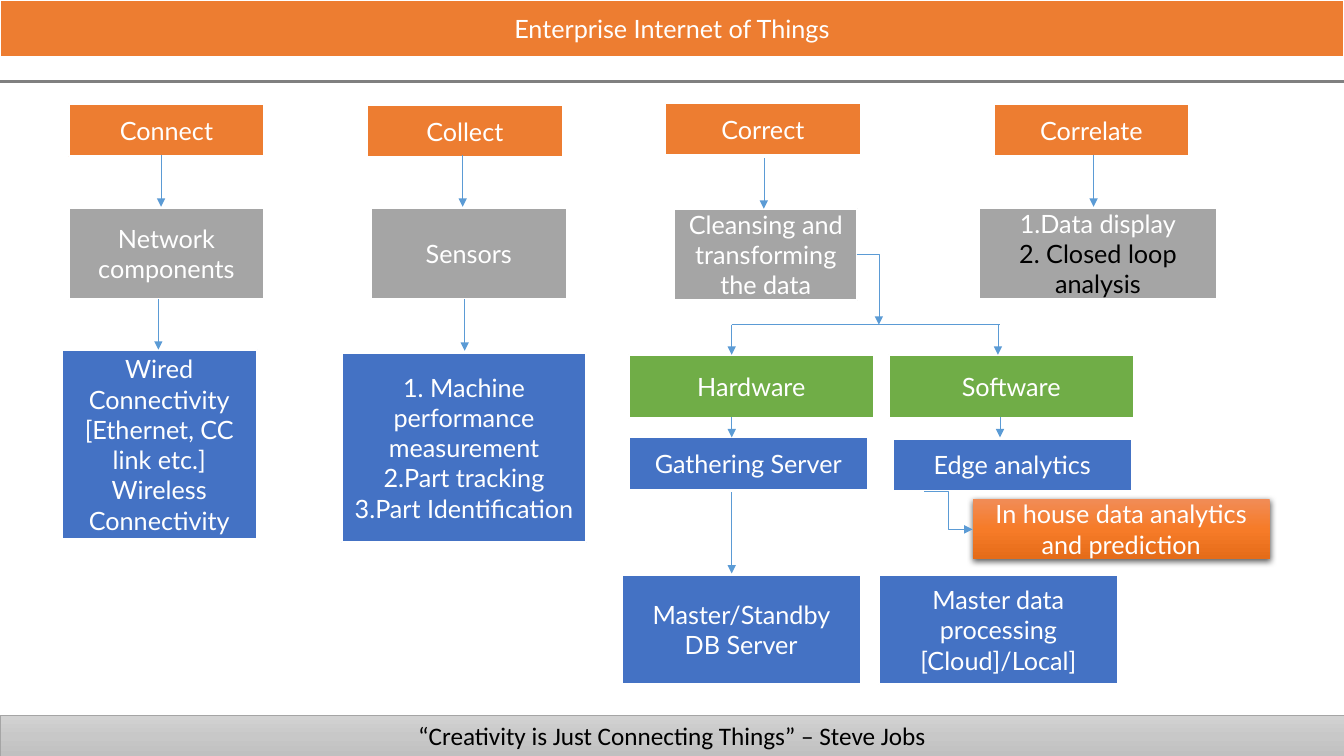
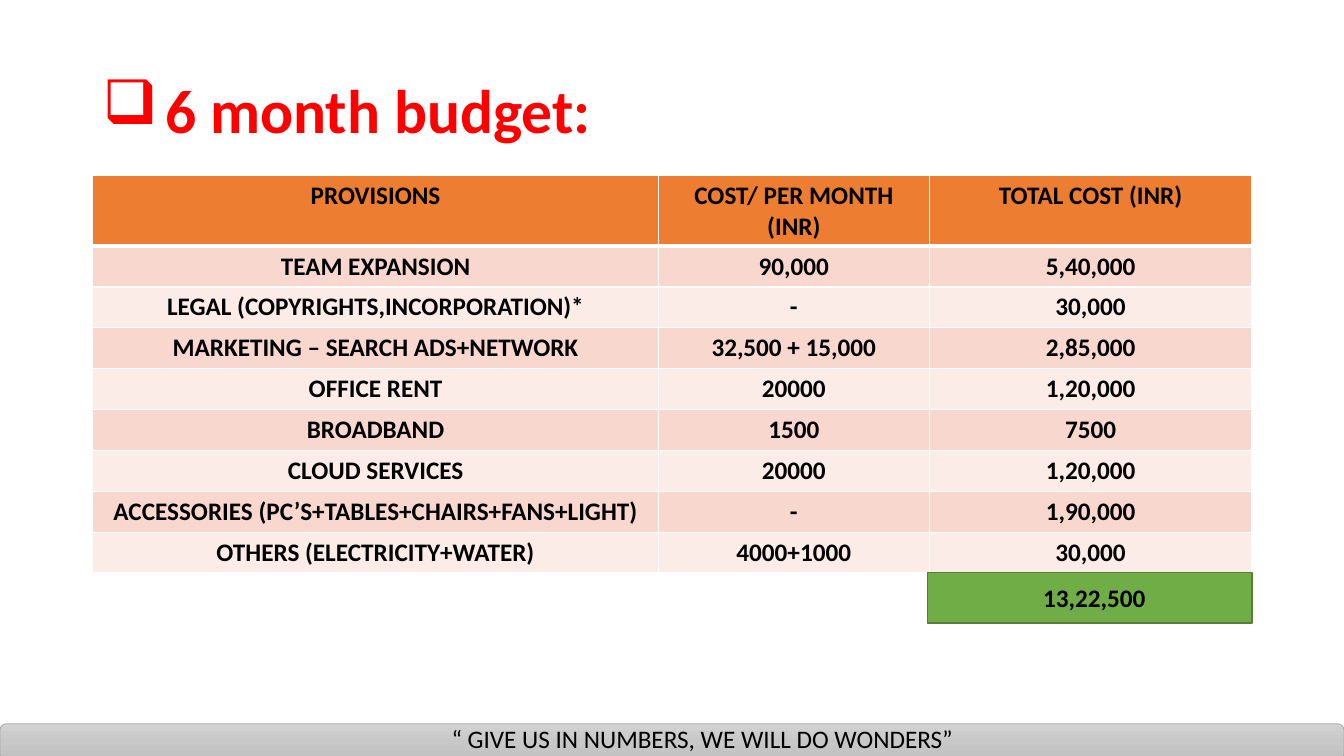
from lxml.etree import SubElement
from pptx import Presentation
from pptx.dml.color import RGBColor
from pptx.enum.shapes import MSO_CONNECTOR, MSO_SHAPE
from pptx.enum.text import MSO_ANCHOR, PP_ALIGN
from pptx.oxml.ns import qn
from pptx.util import Cm, Pt

WIDTH, HEIGHT = 33.87, 19.05
COLORS = {
    "white": "FFFFFF", "black": "000000", "red": "FF0000",
    "orange": "ED7D31", "gray": "A5A5A5", "blue": "4472C4",
    "green": "70AD47", "dark_green": "538035", "arrow": "5B9BD5",
    "rule": "808080", "band_dark": "F8D7CE", "band_light": "FCECE8",
}
GRADIENTS = {
    "silver": ("D2D2D2", "C8C8C8", "C0C0C0"),
    "flame": ("F18C57", "F67B28", "E56C19"),
}
FORMATS = {
    "label": {"name": "Lato", "size": Pt(18)},
    "body": {"name": "Calibri", "size": Pt(18)},
    "strong": {"name": "Calibri", "size": Pt(18), "bold": True},
    "title": {"name": "Calibri", "size": Pt(44), "bold": True},
}


def rgb(name):
    """Return the palette colour called name."""
    return RGBColor.from_string(COLORS[name])


def add_color(parent, value, **mods):
    """Append an RGB colour element with optional modifiers."""
    clr = SubElement(parent, qn("a:srgbClr"), val=value)
    for tag, val in mods.items():
        SubElement(clr, qn("a:" + tag), val=str(val))


class Deck:
    """The shared style and the slide being built."""

    def __init__(self):
        """Open an empty widescreen presentation."""
        self.prs = Presentation()
        self.prs.slide_width, self.prs.slide_height = Cm(WIDTH), Cm(HEIGHT)
        self.shapes = None

    def new_slide(self):
        """Start a slide on the blank layout."""
        self.shapes = self.prs.slides.add_slide(self.prs.slide_layouts[6]).shapes

    def fill_text(self, tf, lines, fmt, color, align=PP_ALIGN.CENTER):
        """Fill a text frame with one paragraph per line."""
        tf.word_wrap = True
        for i, line in enumerate(lines):
            p = tf.add_paragraph() if i else tf.paragraphs[0]
            p.alignment = align
            r = p.add_run()
            r.text = line
            for key, value in FORMATS[fmt].items():
                setattr(r.font, key, value)
            r.font.color.rgb = rgb(color)

    def box(self, at, fill, *lines, line="white", weight=1.5, fmt="label",
            color="white", kind=MSO_SHAPE.RECTANGLE):
        """Add a filled shape with centred text."""
        sp = self.shapes.add_shape(kind, *map(Cm, at))
        sp.shadow.inherit = False
        if fill in GRADIENTS:
            self.shade(sp, GRADIENTS[fill])
        else:
            sp.fill.solid()
            sp.fill.fore_color.rgb = rgb(fill)
        if line:
            sp.line.color.rgb = rgb(line)
            sp.line.width = Pt(weight)
        else:
            sp.line.fill.background()
        sp.text_frame.vertical_anchor = MSO_ANCHOR.MIDDLE
        self.fill_text(sp.text_frame, lines, fmt, color)
        return sp

    def shade(self, sp, stops):
        """Give a shape an even gradient running downwards."""
        sp.fill.gradient()
        sp.fill.gradient_angle = 270
        stop_list = sp._element.spPr.find(".//" + qn("a:gsLst"))
        stop_list.clear()
        for i, stop in enumerate(stops):
            gs = SubElement(stop_list, qn("a:gs"), pos=str(i * 50000))
            add_color(gs, stop)

    def drop_shadow(self, sp):
        """Put a soft shadow below a shape."""
        effects = sp._element.spPr.find(qn("a:effectLst"))
        shadow = SubElement(effects, qn("a:outerShdw"), blurRad=str(Pt(4.5)),
                            dist=str(Pt(1.5)), dir="5400000", rotWithShape="0")
        add_color(shadow, COLORS["black"], alpha=63000)

    def line(self, x1, y1, x2, y2, head=True, bend=None, color="arrow", weight=0.5):
        """Add a straight or bent connector, with an arrowhead if head is set."""
        kind = MSO_CONNECTOR.ELBOW if bend else MSO_CONNECTOR.STRAIGHT
        cxn = self.shapes.add_connector(kind, *map(Cm, (x1, y1, x2, y2)))
        cxn.line.color.rgb = rgb(color)
        cxn.line.width = Pt(weight)
        props = cxn._element.spPr
        if bend:
            props.find(qn("a:prstGeom")).set("prst", bend)
        if head:
            SubElement(props.find(qn("a:ln")), qn("a:tailEnd"), type="triangle")
        SubElement(props, qn("a:effectLst"))

    def text(self, at, line, fmt, color="black"):
        """Add a left-aligned text box."""
        sp = self.shapes.add_textbox(*map(Cm, at))
        self.fill_text(sp.text_frame, [line], fmt, color, PP_ALIGN.LEFT)
        return sp

    def title(self, at, line, bullet, indent):
        """Add a red title with a hanging bullet."""
        tf = self.text(at, line, "title", "red").text_frame
        tf.vertical_anchor = MSO_ANCHOR.MIDDLE
        p = tf.paragraphs[0]
        p.line_spacing = 0.9
        props = p._p.get_or_add_pPr()
        props.set("marL", str(Cm(indent)))
        props.set("indent", str(-Cm(indent)))
        SubElement(props, qn("a:buChar"), char=bullet)

    def footer(self, top, height, *lines, kind=MSO_SHAPE.RECTANGLE):
        """Add the silver band across the foot of the slide."""
        self.box((0, top, WIDTH, height), "silver", *lines, line="gray",
                 weight=0.5, fmt="body", color="black", kind=kind)

    def cell_borders(self, cell, widths):
        """Draw white borders: left, right, top and bottom widths in points."""
        props = cell._tc.get_or_add_tcPr()
        for side, width in zip("LRTB", widths):
            ln = SubElement(props, qn("a:ln" + side), w=str(Pt(width)))
            add_color(SubElement(ln, qn("a:solidFill")), COLORS["white"])

    def table(self, at, rows, col_widths, row_heights):
        """Add a table with an orange header and banded rows."""
        tbl = self.shapes.add_table(len(rows), len(col_widths), *map(Cm, at)).table
        for col, width in zip(tbl.columns, col_widths):
            col.width = Cm(width)
        for i, (values, height) in enumerate(zip(rows, row_heights)):
            tbl.rows[i].height = Cm(height)
            fill = ("band_dark" if i % 2 else "band_light") if i else "orange"
            for j, value in enumerate(values):
                cell = tbl.cell(i, j)
                self.cell_borders(cell, (1, 1, 3 if i == 1 else 1, 1 if i else 3))
                cell.fill.solid()
                cell.fill.fore_color.rgb = rgb(fill)
                self.fill_text(cell.text_frame, [value], "strong", "black")


def build_flow(deck):
    """Build the flow from connecting to correlating."""
    deck.new_slide()
    for x, y, name in ((1.73, 2.62, "Connect"), (9.25, 2.64, "Collect"),
                       (16.76, 2.59, "Correct"), (25.04, 2.62, "Correlate")):
        deck.box((x, y, 4.93, 1.32), "orange", name)

    deck.box((1.73, 5.23, 4.93, 2.31), "gray", "Network components")
    deck.box((9.35, 5.23, 4.93, 2.31), "gray", "Sensors")
    deck.box((16.99, 5.26, 4.62, 2.31), "gray", "Cleansing and transforming the data")
    outputs = deck.box((24.66, 5.23, 6.02, 2.31), "gray",
                       "1.Data display", "2. Closed loop analysis")
    outputs.text_frame.paragraphs[1].runs[0].font.color.rgb = rgb("black")

    deck.box((1.55, 8.81, 4.93, 4.78), "blue", "Wired Connectivity",
             "[Ethernet, CC link etc.]", "Wireless Connectivity")
    deck.box((8.61, 8.89, 6.17, 4.78), "blue", "1. Machine performance measurement",
             "2.Part tracking", "3.Part Identification")
    for x, name in ((15.85, "Hardware"), (22.4, "Software")):
        deck.box((x, 8.94, 6.17, 1.6), "green", name)
    for x, y, height, name in (
            (15.85, 11.02, 1.32, "Gathering Server"),
            (22.5, 11.05, 1.32, "Edge analytics"),
            (15.67, 14.5, 2.74, "Master/Standby DB Server"),
            (22.15, 14.5, 2.74, "Master data processing [Cloud]/Local]")):
        deck.box((x, y, 6.02, height), "blue", name)
    prediction = deck.box((24.51, 12.57, 7.49, 1.52), "flame",
                          "In house data analytics and prediction", line=None)
    deck.drop_shadow(prediction)

    for x, top, bottom in (
            (4.06, 3.91, 5.21), (11.66, 3.91, 5.21), (19.25, 3.99, 5.26),
            (27.56, 3.91, 5.21), (3.99, 7.54, 8.81), (11.71, 7.54, 8.84),
            (18.44, 8.18, 8.94), (25.15, 8.18, 8.94), (18.44, 10.52, 11.02),
            (25.2, 10.52, 11.02), (18.44, 12.4, 14.45)):
        deck.line(x, top, x, bottom)
    deck.line(18.44, 8.18, 25.2, 8.18, head=False)
    deck.line(21.59, 6.4, 22.15, 8.18, bend="bentConnector2")
    deck.line(23.29, 12.37, 24.51, 13.34, bend="bentConnector3")

    deck.box((0, 0, WIDTH, 1.45), "orange", "Enterprise Internet of Things")
    deck.line(0, 2.06, WIDTH, 2.06, head=False, color="rule", weight=2.25)
    deck.footer(18.03, 1.02, "“Creativity is Just Connecting Things” – Steve Jobs")


def build_budget(deck):
    """Build the budget table with its total."""
    rows = (
        ("PROVISIONS", "COST/ PER MONTH (INR)", "TOTAL COST (INR)"),
        ("TEAM EXPANSION", "90,000", "5,40,000"),
        ("LEGAL (COPYRIGHTS,INCORPORATION)*", "-", "30,000"),
        ("MARKETING – SEARCH ADS+NETWORK", "32,500 + 15,000", "2,85,000"),
        ("OFFICE RENT", "20000", "1,20,000"),
        ("BROADBAND", "1500", "7500"),
        ("CLOUD SERVICES", "20000", "1,20,000"),
        ("ACCESSORIES (PC’S+TABLES+CHAIRS+FANS+LIGHT)", "-", "1,90,000"),
        ("OTHERS (ELECTRICITY+WATER)", "4000+1000", "30,000"),
    )
    deck.new_slide()
    deck.title((2.34, 1.02, 29.21, 3.68), "6 month budget:", "❑", 1.57)
    heights = [1.78] + [1.03] * (len(rows) - 1)
    deck.table((2.34, 4.42, 29.21, sum(heights)), rows, (14.25, 6.83, 8.13), heights)
    deck.box((23.37, 14.43, 8.18, 1.27), "green", line="dark_green", weight=1)
    deck.footer(18.24, 0.91, kind=MSO_SHAPE.ROUNDED_RECTANGLE)
    deck.text((26.04, 14.55, 4.7, 1.02), "13,22,500", "strong")
    deck.text((11.13, 18.11, 16.59, 1.02),
              "“ GIVE US IN NUMBERS, WE WILL DO WONDERS”", "body")


deck = Deck()
build_flow(deck)
build_budget(deck)
deck.prs.save("out.pptx")
